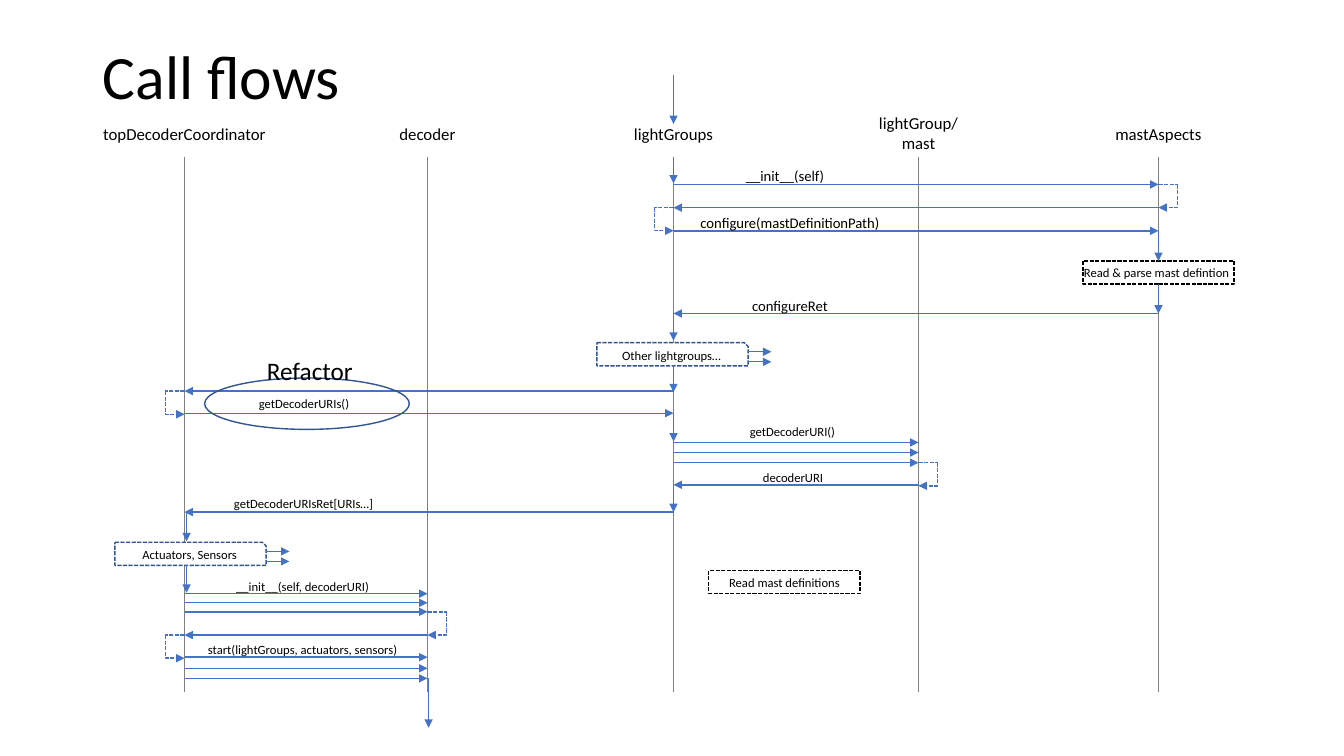
import pptx
import pptx.util
import pptx.dml.color
import pptx.enum.dml
import pptx.enum.shapes
import pptx.enum.text
import pptx.oxml
import pptx.oxml.ns

Inches = pptx.util.Inches
Pt = pptx.util.Pt
SHAPES = pptx.enum.shapes.MSO_SHAPE
CONNECTORS = pptx.enum.shapes.MSO_CONNECTOR
ALIGN = pptx.enum.text.PP_ALIGN
DASHED = pptx.enum.dml.MSO_LINE.SQUARE_DOT


def colour(value):
    return pptx.dml.color.RGBColor.from_string(value)


def element(tag, **attributes):
    node = pptx.oxml.parse_xml(f"<a:{tag} {pptx.oxml.ns.nsdecls('a')}/>")
    for name, value in attributes.items():
        node.set(name, value)
    return node


class FlowSlide:
    font = "Calibri"
    black = "000000"
    grey = "808080"
    blue = "4472C4"
    navy = "325491"
    white = "FFFFFF"
    label_heights = {9: 0.25, 10.5: 0.28, 12: 0.3, 18: 0.4}

    def __init__(self, presentation):
        self.slide = presentation.slides.add_slide(presentation.slide_layouts[5])
        self.shapes = self.slide.shapes

    def set_text(self, frame, text, size, align):
        frame.vertical_anchor = pptx.enum.text.MSO_ANCHOR.MIDDLE
        paragraph = frame.paragraphs[0]
        paragraph.alignment = align
        for index, part in enumerate(text.split("\n")):
            if index:
                paragraph.add_line_break()
            run = paragraph.add_run()
            run.text = part
            run.font.name = self.font
            run.font.size = Pt(size)
            run.font.color.rgb = colour(self.black)
        return paragraph

    def title(self, text):
        heading = self.shapes.title
        heading.left, heading.top = Inches(0.92), Inches(0.4)
        heading.width, heading.height = Inches(11.5), Inches(0.78)
        self.set_text(heading.text_frame, text, 44, ALIGN.LEFT).line_spacing = 0.9

    def label(self, text, left, top, width, size=9, align=ALIGN.CENTER):
        height = self.label_heights[size] + text.count("\n") * 0.2
        holder = self.shapes.add_textbox(
            Inches(left), Inches(top), Inches(width), Inches(height))
        holder.text_frame.word_wrap = False
        self.set_text(holder.text_frame, text, size, align)

    def connector(self, start, end, hue=blue, weight=1, arrow=True,
                  dashed=False, kind=CONNECTORS.STRAIGHT):
        line = self.shapes.add_connector(
            kind, *(Inches(value) for value in (*start, *end)))
        line.line.color.rgb = colour(hue)
        line.line.width = Pt(weight)
        if dashed:
            line.line.dash_style = DASHED
        properties = line._element.spPr
        if arrow:
            stroke = properties.find(pptx.oxml.ns.qn("a:ln"))
            stroke.append(element("tailEnd", type="triangle"))
        properties.append(element("effectLst"))
        return line

    def loop(self, x, top, reach):
        outer = x + reach
        self.connector((x, top), (outer, top), arrow=False, dashed=True)
        turn = self.connector((outer, top), (x, top + 0.23), dashed=True,
                              kind=CONNECTORS.ELBOW)
        geometry = turn._element.spPr.find(pptx.oxml.ns.qn("a:prstGeom"))
        adjustments = geometry.find(pptx.oxml.ns.qn("a:avLst"))
        adjustments.append(element("gd", name="adj1", fmla="val 0"))

    def outline(self, kind, left, top, width, height, hue):
        shape = self.shapes.add_shape(
            kind, Inches(left), Inches(top), Inches(width), Inches(height))
        shape.shadow.inherit = False
        shape.fill.background()
        shape.line.color.rgb = colour(hue)
        shape.line.width = Pt(1)
        return shape

    def step(self, text, left, top, kind=SHAPES.RECTANGLE, hue=black):
        shape = self.outline(kind, left, top, 1.5, 0.23, hue)
        shape.fill.solid()
        shape.fill.fore_color.rgb = colour(self.white)
        shape.line.dash_style = DASHED
        self.set_text(shape.text_frame, text, 9, ALIGN.CENTER)
        return shape

    def branching_step(self, text, left, top):
        self.step(text, left, top, SHAPES.SNIP_1_RECTANGLE, self.navy)
        for offset in (0.09, 0.19):
            self.connector((left + 1.5, top + offset),
                           (left + 1.73, top + offset), weight=0.5)


def main():
    presentation = pptx.Presentation()
    presentation.slide_width = Inches(13.33)
    presentation.slide_height = Inches(7.5)
    flow = FlowSlide(presentation)
    flow.title("Call flows")

    coordinator, decoder, groups, mast, aspects = 1.83, 4.24, 6.68, 9.11, 11.49
    lifelines = [
        ("topDecoderCoordinator", coordinator, 1.18, 1.83),
        ("decoder", decoder, 1.18, 0.76),
        ("lightGroups", groups, 1.18, 0.99),
        ("lightGroup/\nmast", mast, 1.07, 0.99),
        ("mastAspects", aspects, 1.18, 1.07),
    ]
    for name, x, top, width in lifelines:
        flow.connector((x, 1.56), (x, 6.87), flow.grey, 0.5, arrow=False)
        flow.label(name, x - width / 2, top, width, 12)

    parsing = flow.step("Read & parse mast defintion", 10.74, 2.59)
    parsing.text_frame.margin_left = 0
    parsing.text_frame.margin_right = Inches(0.04)
    flow.step("Read mast definitions", 7.03, 5.66)
    flow.branching_step("Other lightgroups…", 5.92, 3.4)
    flow.branching_step("Actuators, Sensors", 1.14, 5.38)

    messages = [
        (groups, aspects, 1.83), (aspects, groups, 2.06),
        (groups, aspects, 2.29), (aspects, groups, 3.11),
        (groups, coordinator, 3.88), (coordinator, groups, 4.1),
        (groups, mast, 4.39), (groups, mast, 4.49), (groups, mast, 4.59),
        (mast, groups, 4.81), (groups, coordinator, 5.08),
        (coordinator, decoder, 5.89), (coordinator, decoder, 5.98),
        (coordinator, decoder, 6.07), (decoder, coordinator, 6.3),
        (coordinator, decoder, 6.52), (coordinator, decoder, 6.63),
        (coordinator, decoder, 6.73),
    ]
    for sender, receiver, y in messages:
        flow.connector((sender, y), (receiver, y))

    activations = [
        (groups, 0.74, 1.23), (groups, 1.56, 1.82), (groups, 3.11, 3.38),
        (groups, 3.62, 3.89), (groups, 4.11, 4.38), (groups, 4.81, 5.08),
        (1.85, 5.09, 5.37), (1.85, 5.61, 5.88), (4.25, 6.73, 7.22),
    ]
    for x, top, bottom in activations:
        flow.connector((x, top), (x, bottom))
    flow.connector((aspects, 2.29), (aspects, 2.59), weight=0.75).end_connect(parsing, 0)
    flow.connector((aspects, 2.82), (aspects, 3.11)).begin_connect(parsing, 2)

    for x, top, reach in [
        (aspects, 1.83, 0.19), (groups, 2.06, -0.19), (coordinator, 3.88, -0.19),
        (mast, 4.59, 0.19), (decoder, 6.07, 0.19), (coordinator, 6.3, -0.19),
    ]:
        flow.loop(x, top, reach)

    for call in [
        ("__init__(self)", 7.29, 1.6, 0.99, 10.5),
        ("configure(mastDefinitionPath)", 6.83, 2.07, 2.01, 10.5),
        ("configureRet", 7.35, 2.89, 0.97, 10.5),
        ("getDecoderURIs()", 2.46, 3.88, 1.11),
        ("getDecoderURI()", 7.33, 4.16, 1.06),
        ("decoderURI", 7.46, 4.61, 0.81),
        ("getDecoderURIsRet[URIs…]", 2.21, 4.87, 1.6),
        ("__init__(self, decoderURI)", 2.23, 5.69, 1.54),
        ("start(lightGroups, actuators, sensors)", 1.95, 6.32, 2.1),
    ]:
        flow.label(*call)

    flow.outline(SHAPES.OVAL, 2.03, 3.75, 2.03, 0.51, flow.navy)
    flow.label("Refactor", 2.55, 3.48, 1.06, 18, ALIGN.LEFT)
    presentation.save("out.pptx")


if __name__ == "__main__":
    main()
